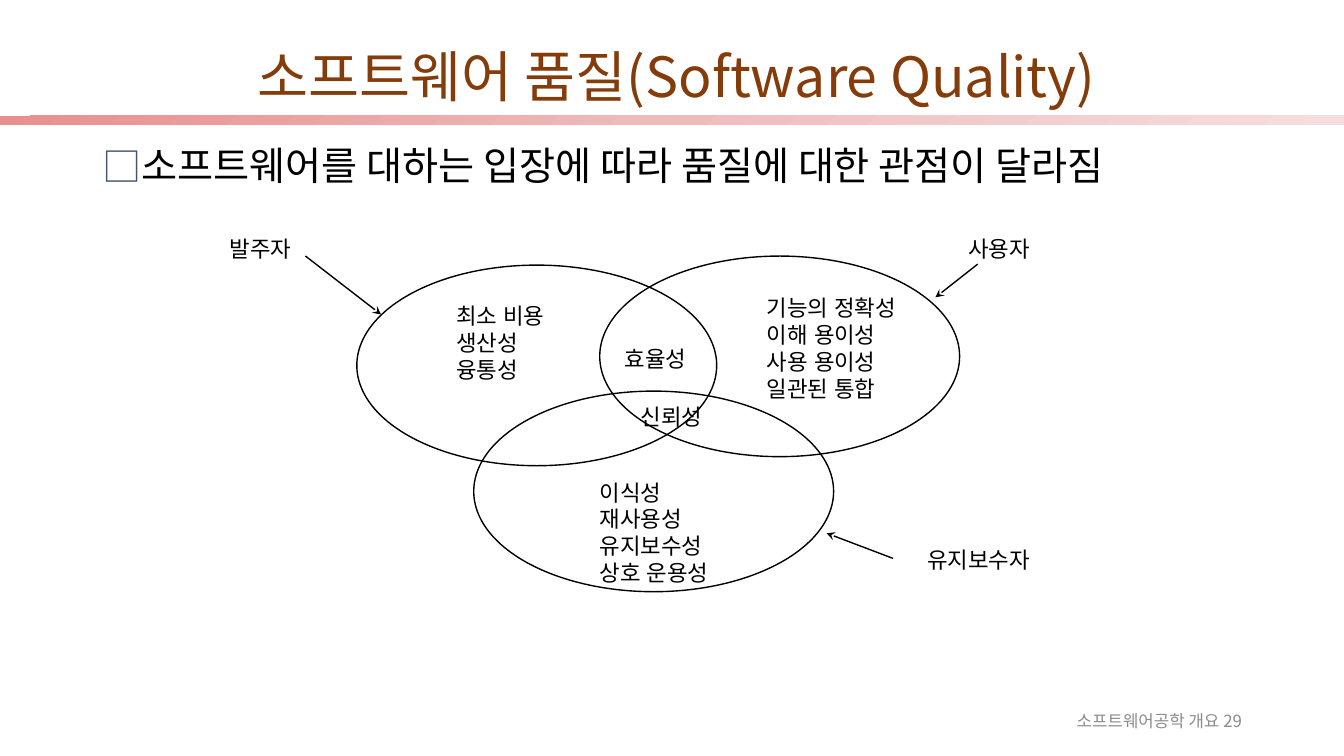
import copy

import pptx
import pptx.dml.color
import pptx.enum.shapes
import pptx.enum.text
import pptx.oxml
import pptx.oxml.ns
import pptx.util

HUES = {
    "title": "843C0B", "ink": "000000", "foot": "8C8C8C", "box": "44546A",
    "left": "E98F8F", "mid": "EFBCBC", "right": "F7DEDE",
}
SANS = "Noto Sans CJK KR"
CELL = 0.1  # the grid has cells of a tenth of an inch
COLS, ROWS = 133.33, 75
OVAL = (35.7, 19.9)  # columns and rows of each circle of interest

# Each view: oval corner, list corner and its lines, name corner and name, arrow
VIEWS = [
    ((35.4, 26.3), (44.3, 29.5), ["최소 비용", "생산성", "융통성"],
     (21.8, 22.8), "발주자", (30.3, 25.4, 37.8, 31.2)),
    ((59.5, 25.4), (75.1, 28.7),
     ["기능의 정확성", "이해 용이성", "사용 용이성", "일관된 통합"],
     (95.1, 22.8), "사용자", (97, 26.2, 92.8, 29.5)),
    ((47, 38.8), (58.5, 47),
     ["이식성", "재사용성", "유지보수성", "상호 운용성"],
     (91, 53.7), "유지보수자", (88.6, 55.4, 82, 52.9)),
]
SHARED = [((62.6, 39.5), "신뢰성"), ((61, 33.7), "효율성")]


def grid(*cells):
    return [pptx.util.Inches(cell * CELL) for cell in cells]


def hue(name):
    return pptx.dml.color.RGBColor.from_string(HUES[name])


def add_xml(parent, tag, **attrs):
    node = pptx.oxml.parse_xml(f"<{tag} {pptx.oxml.ns.nsdecls('a')}/>")
    for key, val in attrs.items():
        node.set(key, val)
    parent.append(node)
    return node


def write(frame, lines, size=16, color="ink", font="Arial", align="LEFT",
          anchor="TOP", wrap=False, space=None):
    """Fill a text frame with one paragraph per line."""
    frame.auto_size = pptx.enum.text.MSO_AUTO_SIZE.NONE
    frame.word_wrap = wrap
    frame.vertical_anchor = pptx.enum.text.MSO_ANCHOR[anchor]
    for i, line in enumerate(lines):
        par = frame.add_paragraph() if i else frame.paragraphs[0]
        par.alignment = pptx.enum.text.PP_ALIGN[align]
        par.line_spacing = space
        run = par.add_run()
        run.text = line
        run.font.size = pptx.util.Pt(size)
        run.font.color.rgb = hue(color)
        run.font.name = font
        add_xml(run.font._element, "a:ea", typeface=font)


def place(shape, left, top, width, height):
    shape.left, shape.top, shape.width, shape.height = grid(
        left, top, width, height)


def add_label(slide, spot, lines):
    wide = 2 + 2.8 * max(map(len, lines))
    tall = 1 + 2.67 * len(lines)
    box = slide.shapes.add_textbox(*grid(*spot, wide, tall))
    write(box.text_frame, lines)


def add_oval(slide, spot):
    oval = slide.shapes.add_shape(
        pptx.enum.shapes.MSO_SHAPE.OVAL, *grid(*spot, *OVAL))
    oval.shadow.inherit = False
    oval.fill.background()
    oval.line.color.rgb = hue("ink")
    oval.line.width = pptx.util.Pt(1)


def add_arrow(slide, ends):
    arrow = slide.shapes.add_connector(
        pptx.enum.shapes.MSO_CONNECTOR.STRAIGHT, *grid(*ends))
    arrow.line.color.rgb = hue("ink")
    arrow.line.width = pptx.util.Pt(1)
    add_xml(arrow.line._get_or_add_ln(), "a:tailEnd", type="stealth")
    add_xml(arrow._element.spPr, "a:effectLst")


def add_band(slide):
    """Draw the faded band under the title."""
    band = slide.shapes.add_shape(
        pptx.enum.shapes.MSO_SHAPE.RECTANGLE, *grid(0, 11.5, COLS, 0.9))
    band.shadow.inherit = False
    band.line.fill.background()
    band.fill.gradient()
    band.fill.gradient_angle = 315
    stops = band._element.spPr.find(".//" + pptx.oxml.ns.qn("a:gsLst"))
    stops.insert(1, copy.deepcopy(stops[0]))
    names = ["left", "mid", "right"]
    for i, stop in enumerate(band.fill.gradient_stops):
        stop.position = i / 2
        stop.color.rgb = hue(names[i])


def add_heads(slide):
    """Fill the title and the bulleted body."""
    title, body = slide.shapes.title, slide.placeholders[1]
    place(title, 6, 4.8, 122.2, 6.1)
    write(title.text_frame, ["소프트웨어 품질(Software Quality)"], size=39.6,
          color="title", font=SANS, align="CENTER", anchor="MIDDLE",
          wrap=True, space=0.9)
    place(body, 9.2, 14, 115, 53.6)
    write(body.text_frame,
          ["소프트웨어를 대하는 입장에 따라 품질에 대한 관점이 달라짐"],
          size=28, font=SANS, wrap=True, space=0.9)
    par = body.text_frame.paragraphs[0]
    par.space_before = pptx.util.Pt(10)
    props = par._element.get_or_add_pPr()
    indent = pptx.util.Inches(0.25)
    props.set("marL", str(indent))
    props.set("indent", str(-indent))
    tint = add_xml(props, "a:buClr")
    add_xml(tint, "a:srgbClr", val=HUES["box"])
    add_xml(props, "a:buFont", typeface=SANS)
    add_xml(props, "a:buChar", char="□")


def main():
    deck = pptx.Presentation()
    deck.slide_width, deck.slide_height = grid(COLS, ROWS)
    slide = deck.slides.add_slide(deck.slide_layouts[1])

    # Heading and footer
    add_band(slide)
    add_heads(slide)
    foot = slide.shapes.add_textbox(*grid(94.2, 69.5, 30, 4))
    write(foot.text_frame, ["소프트웨어공학 개요 29"], size=12, color="foot",
          font=SANS, align="RIGHT", anchor="MIDDLE", wrap=True)

    # Three views of quality, then what they share
    for oval, spot, lines, name_spot, name, ends in VIEWS:
        add_oval(slide, oval)
        add_label(slide, spot, lines)
        add_label(slide, name_spot, [name])
        add_arrow(slide, ends)
    for spot, word in SHARED:
        add_label(slide, spot, [word])

    deck.save("out.pptx")


if __name__ == "__main__":
    main()
